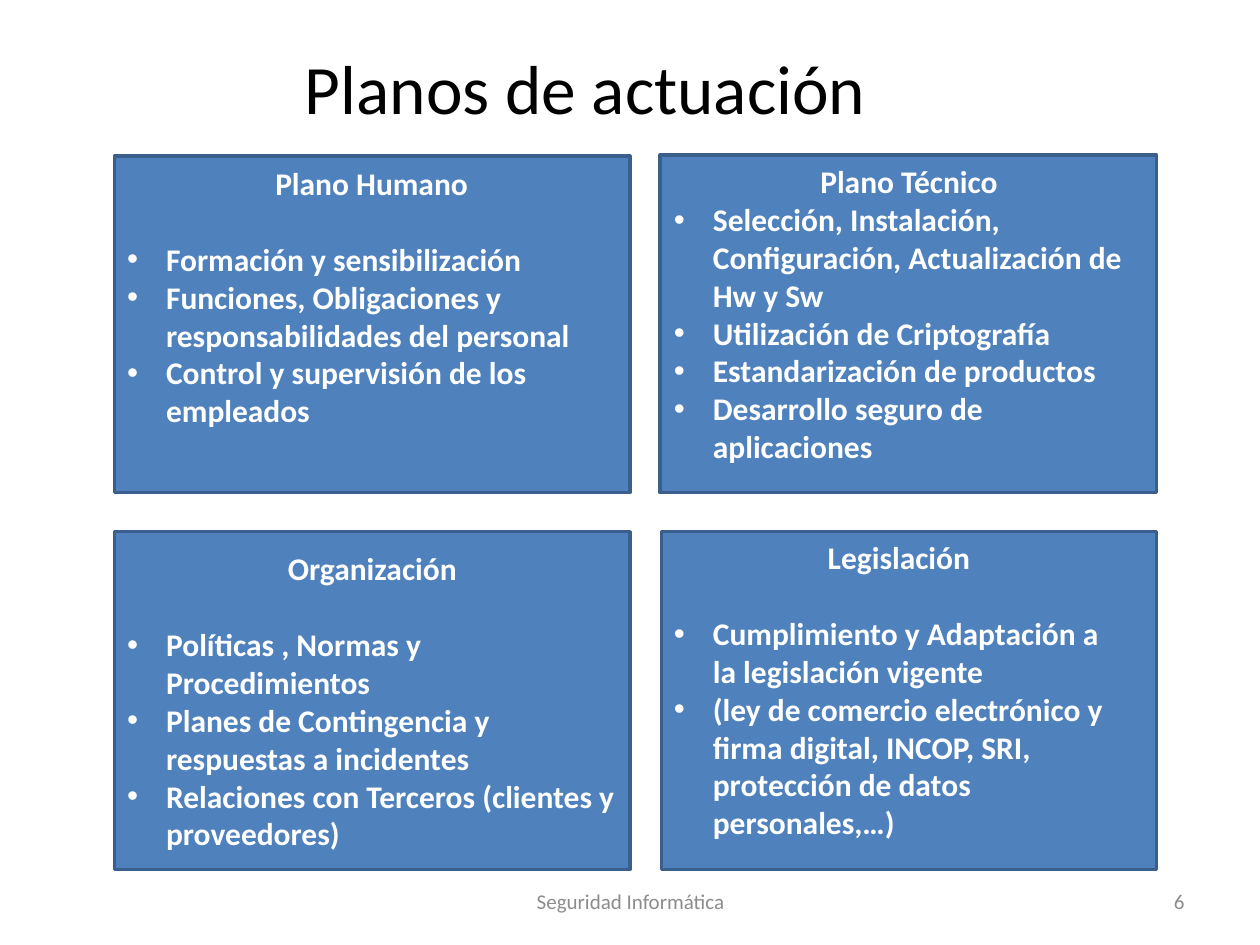
from dataclasses import dataclass
from typing import Optional

from lxml.etree import SubElement
from pptx import Presentation
from pptx.dml.color import RGBColor
from pptx.enum.shapes import MSO_SHAPE
from pptx.enum.text import MSO_ANCHOR, PP_ALIGN
from pptx.oxml.ns import qn
from pptx.util import Inches, Pt

Box = tuple[float, float, float, float]


@dataclass
class Panel:
    box: Box
    heading: str
    bullets: list[str]
    text_box: Optional[Box] = None  # None: the text sits in the panel itself
    gap: float = 22  # points below the heading


PANELS = [
    Panel((0.91, 1.24, 4.09, 2.67), "Plano Humano",
          ["Formación y sensibilización",
           "Funciones, Obligaciones y responsabilidades del personal",
           "Control y supervisión de los empleados"],
          (0.91, 1.25, 4.08, 2.52)),
    Panel((5.24, 1.23, 3.94, 2.68), "Plano Técnico",
          ["Selección, Instalación, Configuración, Actualización de Hw y Sw",
           "Utilización de Criptografía",
           "Estandarización de productos",
           "Desarrollo seguro de aplicaciones"],
          (5.25, 1.24, 3.93, 2.83), gap=0),
    Panel((0.91, 4.22, 4.09, 2.68), "Organización",
          ["Políticas , Normas y Procedimientos",
           "Planes de Contingencia y respuestas a incidentes",
           "Relaciones con Terceros (clientes y proveedores)"]),
    Panel((5.25, 4.22, 3.93, 2.68), "Legislación",
          ["Cumplimiento y Adaptación a la legislación vigente",
           "(ley de comercio electrónico y firma digital, INCOP, SRI, "
           "protección de datos personales,…)"],
          (5.25, 4.22, 3.77, 2.52)),
]


def rgb(color: str) -> RGBColor:
    return RGBColor.from_string(color)


def add_run(p, text: str, size: float, color: str, bold: bool = False) -> None:
    r = p.add_run()
    r.text = text
    r.font.name = "Calibri"
    r.font.size = Pt(size)
    r.font.bold = bold
    r.font.color.rgb = rgb(color)


def add_text_frame(s, box: Box, anchor: MSO_ANCHOR):
    tf = s.shapes.add_textbox(*map(Inches, box)).text_frame
    tf.word_wrap = True
    tf.vertical_anchor = anchor
    return tf


def add_label(s, box: Box, text: str, size: float, color: str,
              align: PP_ALIGN, anchor: MSO_ANCHOR = MSO_ANCHOR.MIDDLE):
    tf = add_text_frame(s, box, anchor)
    p = tf.paragraphs[0]
    p.alignment = align
    add_run(p, text, size, color)
    return tf


def add_bullet(p) -> None:
    pPr = p._p.get_or_add_pPr()
    pPr.set("marL", str(Inches(0.31)))
    pPr.set("indent", str(-Inches(0.31)))
    SubElement(pPr, qn("a:buFont")).set("typeface", "Arial")
    SubElement(pPr, qn("a:buChar")).set("char", "•")


def add_rectangle(s, box: Box):
    sp = s.shapes.add_shape(MSO_SHAPE.RECTANGLE, *map(Inches, box))
    sp.shadow.inherit = False
    sp.fill.solid()
    sp.fill.fore_color.rgb = rgb("4F81BD")
    sp.line.color.rgb = rgb("3A5F8C")
    sp.line.width = Pt(2)
    return sp


def fill_panel(tf, panel: Panel) -> None:
    p = tf.paragraphs[0]
    p.alignment = PP_ALIGN.CENTER
    p.space_after = Pt(panel.gap)
    add_run(p, panel.heading, 18, "FFFFFF", bold=True)
    for bullet in panel.bullets:
        p = tf.add_paragraph()
        p.alignment = PP_ALIGN.LEFT
        add_bullet(p)
        add_run(p, bullet, 18, "FFFFFF", bold=True)


prs = Presentation()
prs.slide_width, prs.slide_height = Inches(10), Inches(7.5)
s = prs.slides.add_slide(prs.slide_layouts[6])

# Title
title = add_label(s, (0.43, 0.36, 8.43, 1.25), "Planos de actuación", 39.6,
                  "000000", PP_ALIGN.CENTER, MSO_ANCHOR.TOP)
title.margin_top = 0

# Footer
add_label(s, (7.17, 6.95, 2.33, 0.4), "6", 12, "8C8C8C", PP_ALIGN.RIGHT)
add_label(s, (3.42, 6.95, 3.17, 0.4), "Seguridad Informática", 12, "8C8C8C",
          PP_ALIGN.CENTER)

# Panels, then their text on top
rectangles = [add_rectangle(s, panel.box) for panel in PANELS]
for panel, sp in zip(PANELS, rectangles):
    if panel.text_box:
        tf = add_text_frame(s, panel.text_box, MSO_ANCHOR.TOP)
    else:
        tf = sp.text_frame
        tf.word_wrap = True
        tf.vertical_anchor = MSO_ANCHOR.MIDDLE
    fill_panel(tf, panel)

prs.save("out.pptx")
